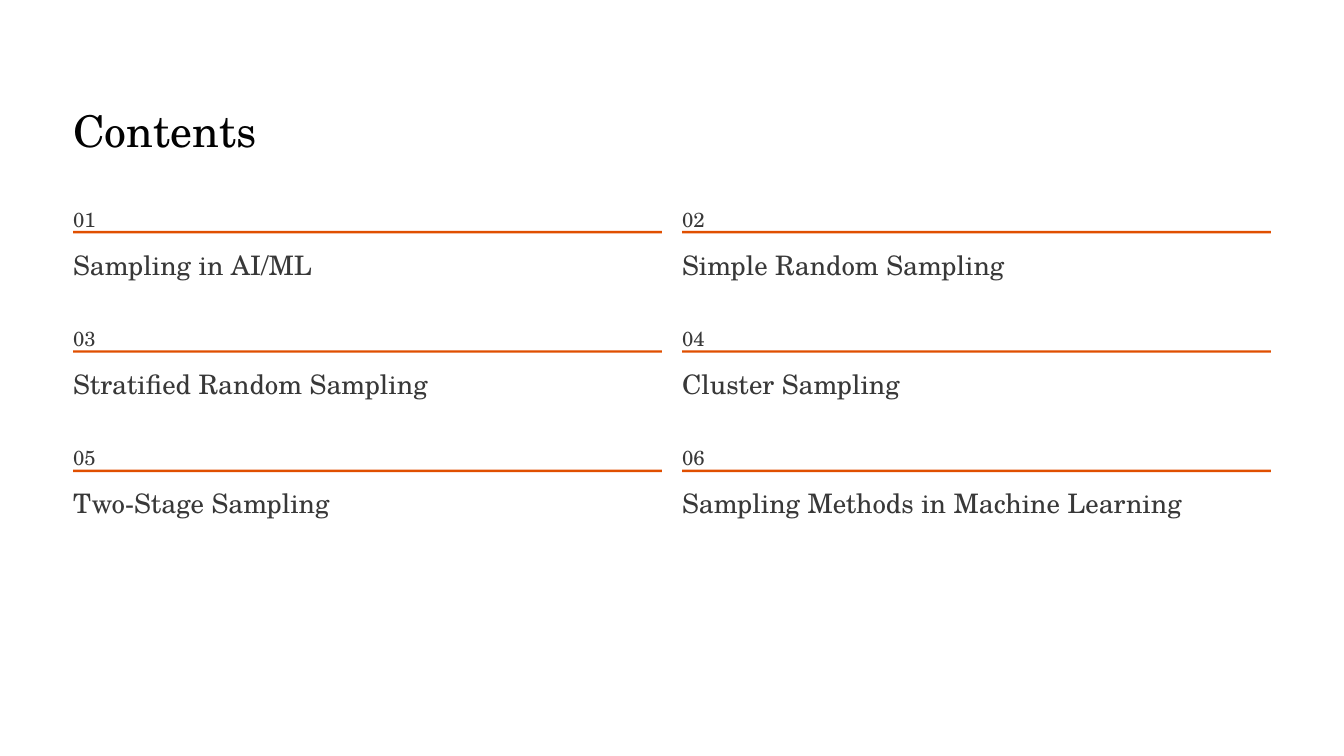
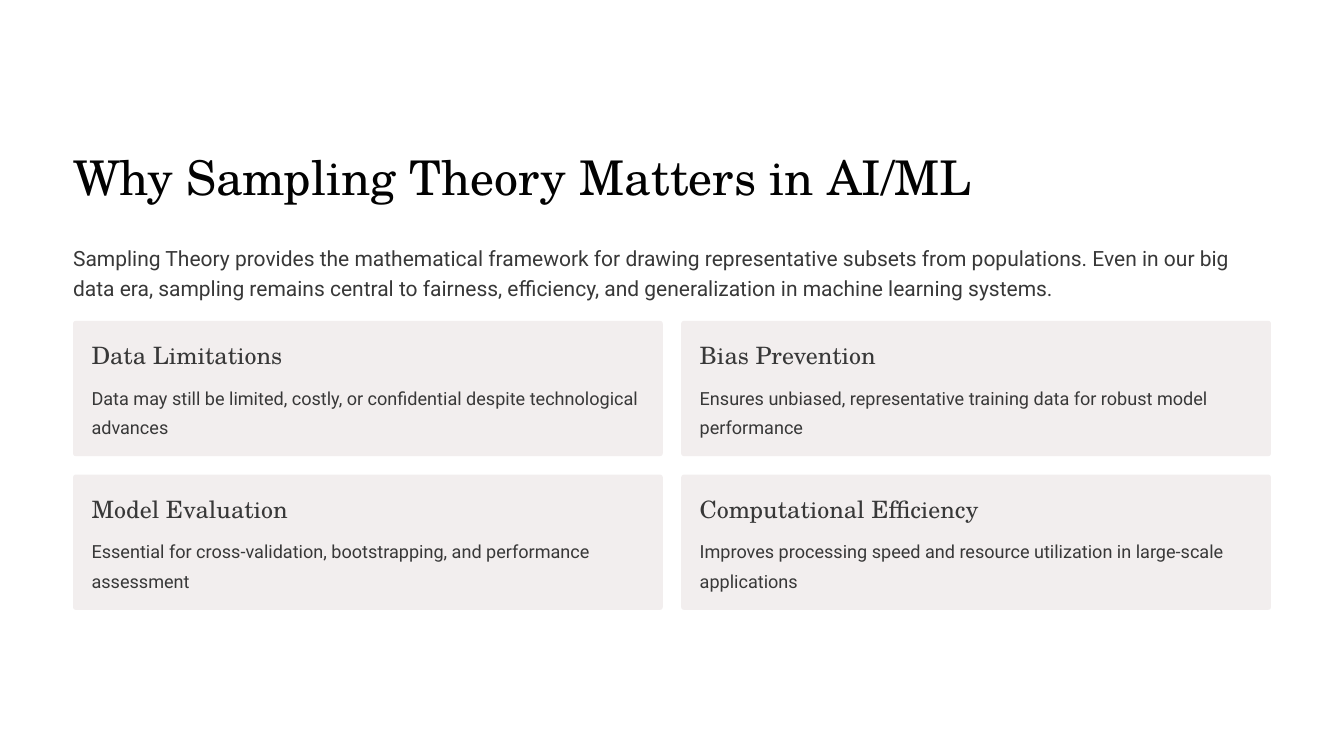
from pptx import Presentation
from pptx.dml.color import RGBColor
from pptx.enum.shapes import MSO_SHAPE as Shape
from pptx.enum.text import MSO_ANCHOR as Anchor
from pptx.util import Inches, Pt

# Shared look
WHITE = RGBColor(0xFF, 0xFF, 0xFF)
BLACK = RGBColor(0x02, 0x02, 0x02)
GREY = RGBColor(0x38, 0x38, 0x38)
ORANGE = RGBColor(0xE0, 0x4F, 0x00)
PALE = RGBColor(0xF2, 0xEE, 0xEE)
SERIF, SANS = "TeX Gyre Schola", "Roboto"
PAGE_W, PAGE_H = 16, 9
LEFT, WIDTH = 0.87, 14.26

# Content
TOPICS = [
    "Sampling in AI/ML",
    "Simple Random Sampling",
    "Stratified Random Sampling",
    "Cluster Sampling",
    "Two-Stage Sampling",
    "Sampling Methods in Machine Learning",
]
INTRO = (
    "Sampling Theory provides the mathematical framework for drawing "
    "representative subsets from populations. Even in our big data era, "
    "sampling remains central to fairness, efficiency, and generalization "
    "in machine learning systems."
)
CARDS = [
    ("Data Limitations",
     "Data may still be limited, costly, or confidential despite "
     "technological advances"),
    ("Bias Prevention",
     "Ensures unbiased, representative training data for robust model "
     "performance"),
    ("Model Evaluation",
     "Essential for cross-validation, bootstrapping, and performance "
     "assessment"),
    ("Computational Efficiency",
     "Improves processing speed and resource utilization in large-scale "
     "applications"),
]


def add_text(slide, text, x, y, w, h, size, line, font=SERIF, color=GREY):
    box = slide.shapes.add_textbox(Inches(x), Inches(y), Inches(w), Inches(h))
    frame = box.text_frame
    frame.margin_left = frame.margin_right = 0
    frame.margin_top = frame.margin_bottom = 0
    frame.vertical_anchor = Anchor.TOP
    frame.word_wrap = True
    para = frame.paragraphs[0]
    para.line_spacing = Pt(line)
    run = para.add_run()
    run.text = text
    run.font.name = font
    run.font.size = Pt(size)
    run.font.color.rgb = color


def add_title(slide, text, y, h, size, line):
    add_text(slide, text, LEFT, y, WIDTH, h, size, line, color=BLACK)


def add_block(slide, kind, x, y, w, h, fill):
    block = slide.shapes.add_shape(
        kind, Inches(x), Inches(y), Inches(w), Inches(h))
    block.shadow.inherit = False
    block.fill.solid()
    block.fill.fore_color.rgb = fill
    block.line.fill.background()
    return block


def grid(items, top, col_step, row_step):
    """Yield each item with its place in two columns, row by row."""
    for i, item in enumerate(items):
        row, col = divmod(i, 2)
        yield item, LEFT + col * col_step, top + row * row_step


def build_contents(slide):
    add_title(slide, "Contents", 1.21, 0.65, 37.5, 46.5)
    width = 7.01
    topics = enumerate(TOPICS, 1)
    for (num, topic), x, y in grid(topics, 2.36, 7.25, 1.42):
        add_text(slide, f"{num:02}", x, y, 0.4, 0.31, 17.5, 28.5)
        add_block(slide, Shape.RECTANGLE, x, y + 0.39, width, 0.03, ORANGE)
        add_text(slide, topic, x, y + 0.58, width, 0.41, 23, 29)


def build_reasons(slide):
    add_title(slide, "Why Sampling Theory Matters in AI/ML",
              1.73, 0.71, 41, 51)
    add_text(slide, INTRO, LEFT, 2.88, WIDTH, 0.69, 18, 25, font=SANS)
    width, height, gap = 7.02, 1.61, 0.22
    inner = width - 2 * gap
    cards = grid(CARDS, 3.82, width + gap, height + gap)
    for (head, body), x, y in cards:
        card = add_block(slide, Shape.ROUNDED_RECTANGLE, x, y, width, height,
                         PALE)
        card.adjustments[0] = 0.02
        add_text(slide, head, x + gap, y + gap, inner, 0.36, 20.5, 25.5)
        add_text(slide, body, x + gap, y + 0.7, inner, 0.69, 15.5, 25,
                 font=SANS)


def main():
    deck = Presentation()
    deck.slide_width, deck.slide_height = Inches(PAGE_W), Inches(PAGE_H)
    blank = deck.slide_layouts[6]
    for build in (build_contents, build_reasons):
        slide = deck.slides.add_slide(blank)
        # White page behind the content
        add_block(slide, Shape.RECTANGLE, 0, 0, PAGE_W, PAGE_H, WHITE)
        build(slide)
    deck.save("out.pptx")


if __name__ == "__main__":
    main()
